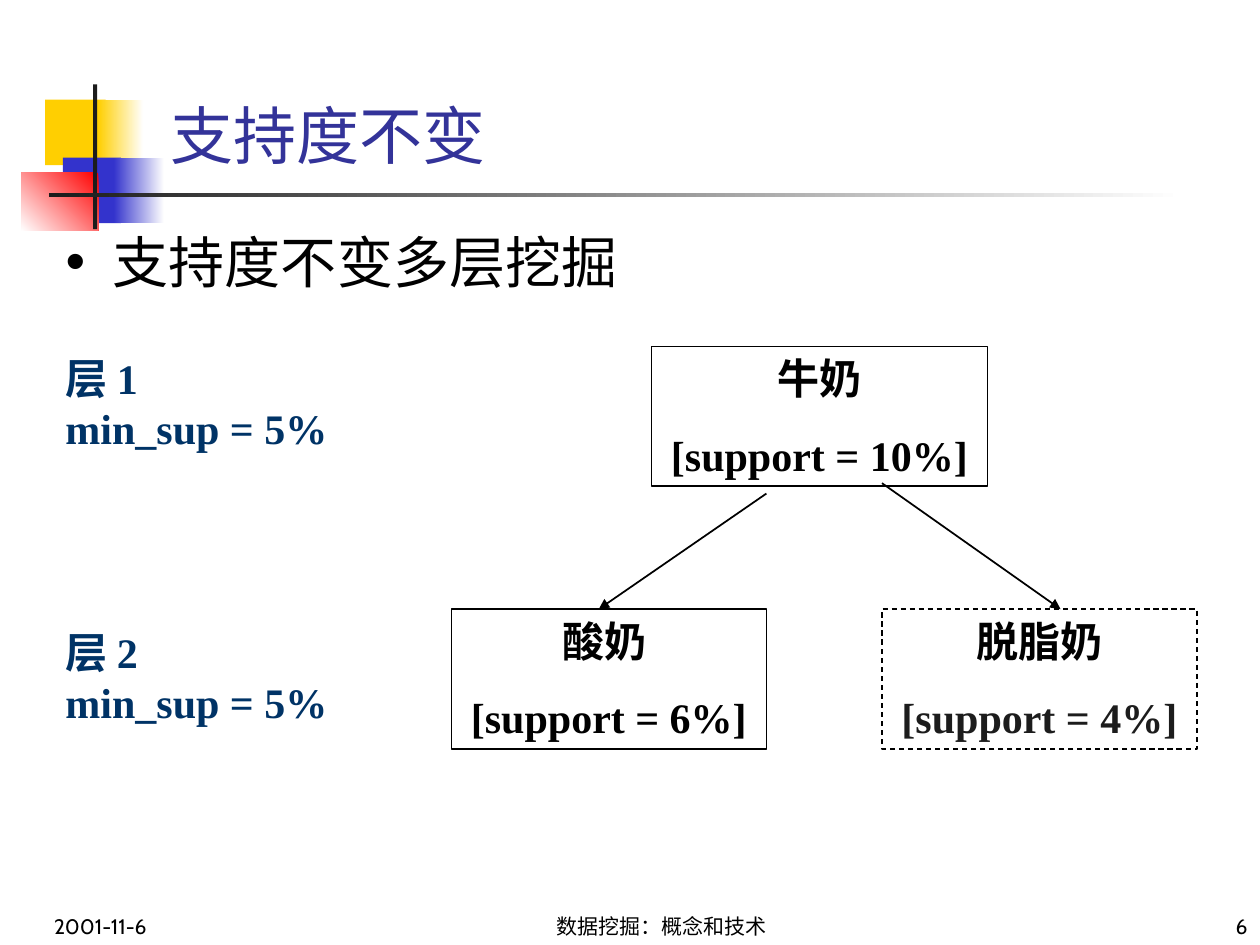
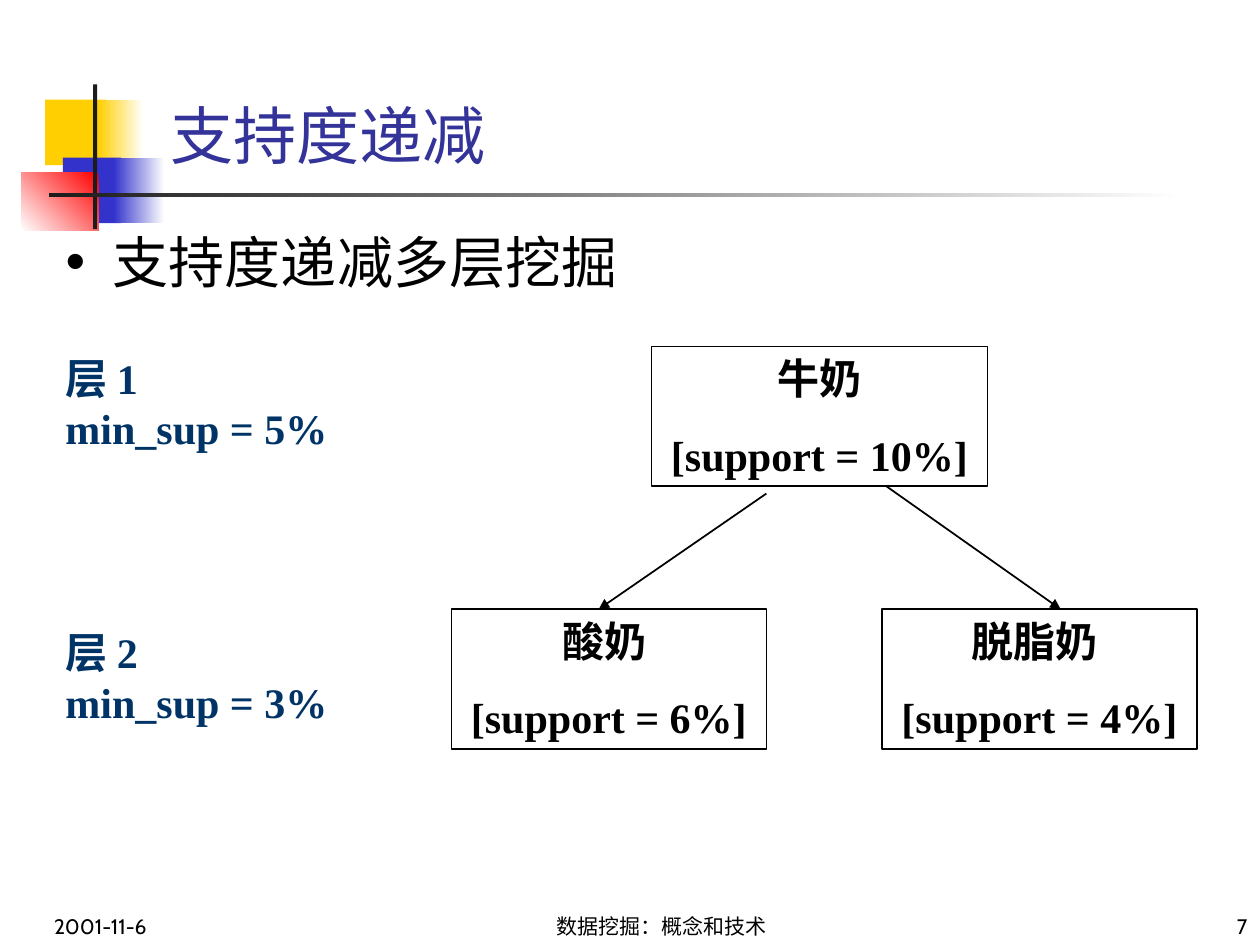
from lxml.etree import SubElement
from pptx import Presentation
from pptx.dml.color import RGBColor
from pptx.enum.dml import MSO_LINE
from pptx.enum.shapes import MSO_CONNECTOR, MSO_SHAPE
from pptx.enum.text import MSO_ANCHOR, MSO_AUTO_SIZE, PP_ALIGN
from pptx.oxml.ns import qn
from pptx.util import Cm, Pt

COLORS = {
    "white": "FFFFFF", "black": "000000", "ink": "1C1C1C", "title": "333399",
    "level": "003366", "yellow": "FFCF01", "blue": "3333CC", "red": "FF0000",
}
HEADING_FONT, DIAGRAM_FONT = "Cabin", "Times New Roman"
DATE, COURSE = "2001-11-6", "数据挖掘：概念和技术"

SLIDES = [
    {"number": 6, "title": "支持度不变", "subtitle": "支持度不变多层挖掘",
     "thresholds": ["5%", "5%"], "skim": "脱脂奶", "skim_passes": False},
    {"number": 7, "title": "支持度递减", "subtitle": "支持度递减多层挖掘",
     "thresholds": ["5%", "3%"], "skim": "脱脂奶 ", "skim_passes": True},
]

ORNAMENT = [
    ((0.91, 2.01, 1.22, 1.32), "yellow", None),
    ((1.98, 2.01, 0.91, 1.32), "yellow", 0),
    ((1.27, 3.18, 1.17, 1.32), "blue", None),
    ((2.29, 3.18, 1.02, 1.32), "blue", 0),
    ((0.43, 3.48, 1.55, 1.17), "red", 225),
    ((1.88, 1.7, 0.08, 2.92), "ink", None),
    ((0.99, 3.89, 22.86, 0.08), "ink", 0),
]
TITLE_AREA = (3.18, 1.9, 21.64, 1.7)
SUBTITLE_AREA = (1.07, 4.45, 23.29, 2.74)
MILK_AREA = (13.13, 6.98, 6.78, 2.82)
YOGURT_AREA = (9.1, 12.28, 6.35, 2.82)
SKIM_AREA = (17.78, 12.28, 6.35, 2.82)
LEVEL_TOPS = [6.98, 12.5]
ARROWS = [(15.45, 9.95, 12.07, 12.28), (17.78, 9.74, 21.38, 12.28)]
FOOTER_TOP, FOOTER_HEIGHT = 17.99, 1.06


def color(name):
    return RGBColor.from_string(COLORS[name])


def place(shape, area):
    shape.left, shape.top, shape.width, shape.height = map(Cm, area)


def write(shape, lines, size, font, tints, align=PP_ALIGN.LEFT,
          anchor=MSO_ANCHOR.TOP, bold=False, gap=0, wrap=True):
    frame = shape.text_frame
    frame.text = "\n".join(lines)
    frame.word_wrap = wrap
    frame.auto_size = MSO_AUTO_SIZE.NONE
    frame.vertical_anchor = anchor
    for index, (para, tint) in enumerate(zip(frame.paragraphs, tints)):
        para.alignment = align
        para.space_before = Pt(gap if index else 0)
        para.font.size = Pt(size)
        para.font.name = font
        para.font.bold = bold
        para.font.color.rgb = color(tint)


def add_rectangle(page, area):
    box = page.shapes.add_shape(MSO_SHAPE.RECTANGLE, *map(Cm, area))
    box.shadow.inherit = False
    return box


def add_ornament(page):
    for area, tint, angle in ORNAMENT:
        block = add_rectangle(page, area)
        block.line.fill.background()
        if angle is None:
            block.fill.solid()
            block.fill.fore_color.rgb = color(tint)
        else:
            block.fill.gradient()
            block.fill.gradient_angle = angle
            for stop, name in zip(block.fill.gradient_stops, (tint, "white")):
                stop.color.rgb = color(name)


def add_headings(page, title, subtitle):
    heading, body = page.shapes.title, page.placeholders[1]
    place(heading, TITLE_AREA)
    write(heading, [title], 36, HEADING_FONT, ["title"], anchor=MSO_ANCHOR.BOTTOM)
    place(body, SUBTITLE_AREA)
    body.text_frame.text = subtitle
    properties = body.text_frame.paragraphs[0]._p.get_or_add_pPr()
    properties.set("marL", "0")
    properties.set("indent", "0")
    SubElement(properties, qn("a:buNone"))
    write(body, [subtitle], 32, HEADING_FONT, ["black"])


def add_item(page, area, name, support, passes=True):
    box = add_rectangle(page, area)
    box.fill.solid()
    box.fill.fore_color.rgb = color("white")
    box.line.color.rgb = color("black")
    box.line.width = Pt(0.75)
    if not passes:
        box.line.dash_style = MSO_LINE.DASH
        white = box._element.spPr.find(qn("a:solidFill"))[0]
        SubElement(white, qn("a:alpha"), val="50000")
    write(box, [name, f"[support = {support}]"], 24, DIAGRAM_FONT,
          ["black", "black" if passes else "ink"],
          align=PP_ALIGN.CENTER, bold=True, gap=15)


def add_arrow(page, ends):
    arrow = page.shapes.add_connector(MSO_CONNECTOR.STRAIGHT, *map(Cm, ends))
    arrow.line.color.rgb = color("black")
    arrow.line.width = Pt(1)
    SubElement(arrow.line._get_or_add_ln(), qn("a:tailEnd"), type="triangle")
    SubElement(arrow._element.spPr, qn("a:effectLst"))


def add_tree(page, skim, skim_passes):
    if not skim_passes:
        add_item(page, MILK_AREA, "牛奶", "10%")
    add_item(page, YOGURT_AREA, "酸奶 ", "6%")
    add_item(page, SKIM_AREA, skim, "4%", skim_passes)
    for ends in ARROWS:
        add_arrow(page, ends)
    if skim_passes:
        add_item(page, MILK_AREA, "牛奶", "10%")


def add_levels(page, thresholds):
    for level, (top, threshold) in enumerate(zip(LEVEL_TOPS, thresholds), start=1):
        box = page.shapes.add_textbox(*map(Cm, (1.07, top, 5.79, 2.29)))
        write(box, [f"层 {level}", f"min_sup = {threshold}"], 24, DIAGRAM_FONT,
              ["level", "level"], bold=True, wrap=False)


def add_footer(page, number):
    for left, width, text, align in [
        (9.32, 8.05, COURSE, PP_ALIGN.CENTER),
        (20.12, 5.28, str(number), PP_ALIGN.RIGHT),
        (0.84, 5.28, DATE, PP_ALIGN.LEFT),
    ]:
        box = page.shapes.add_textbox(*map(Cm, (left, FOOTER_TOP, width, FOOTER_HEIGHT)))
        write(box, [text], 12, HEADING_FONT, ["black"], align, MSO_ANCHOR.BOTTOM)


def main():
    deck = Presentation()
    deck.slide_width, deck.slide_height = Cm(25.4), Cm(19.05)
    for content in SLIDES:
        page = deck.slides.add_slide(deck.slide_layouts[1])
        add_ornament(page)
        add_headings(page, content["title"], content["subtitle"])
        add_tree(page, content["skim"], content["skim_passes"])
        add_levels(page, content["thresholds"])
        add_footer(page, content["number"])
    deck.save("out.pptx")


if __name__ == "__main__":
    main()
